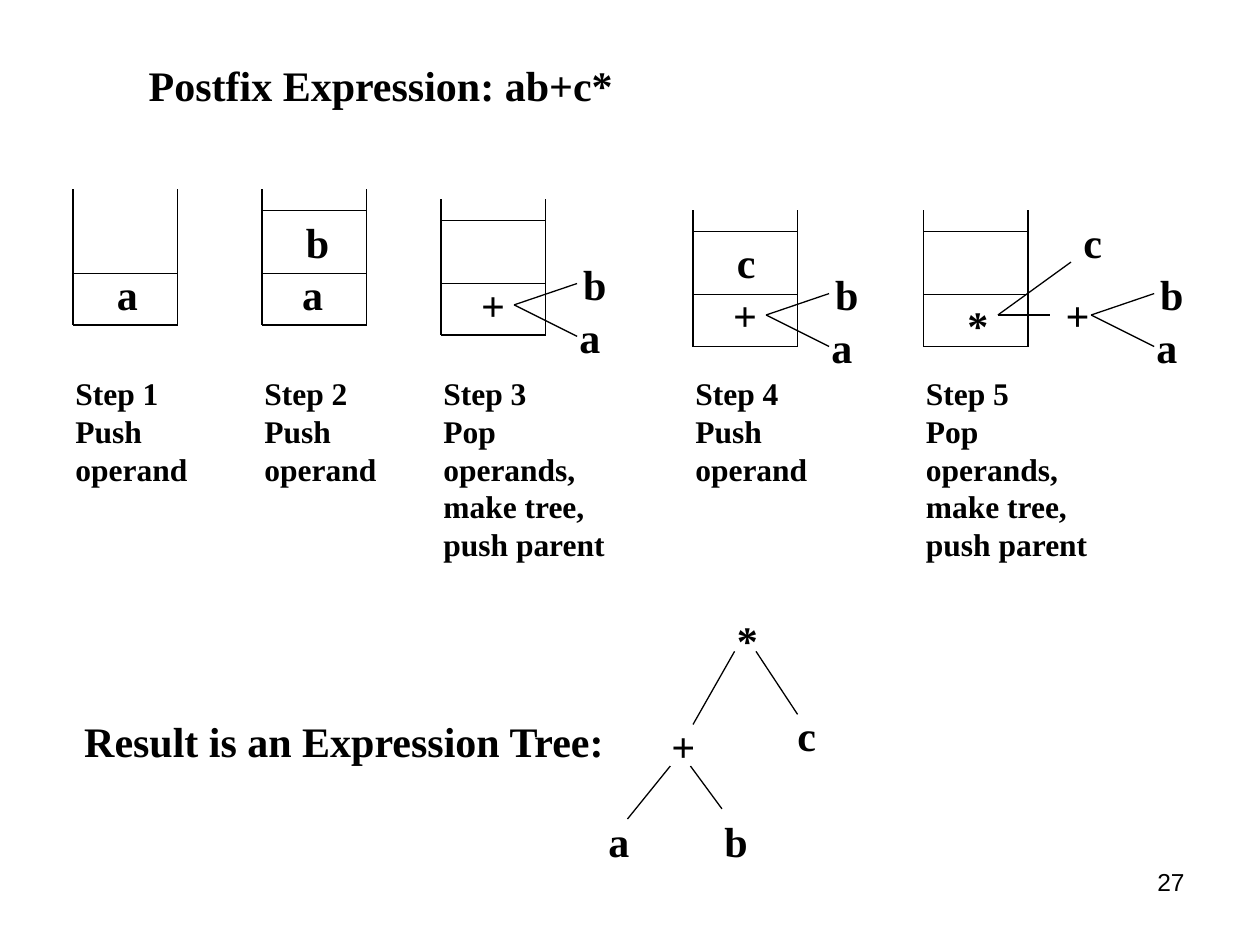
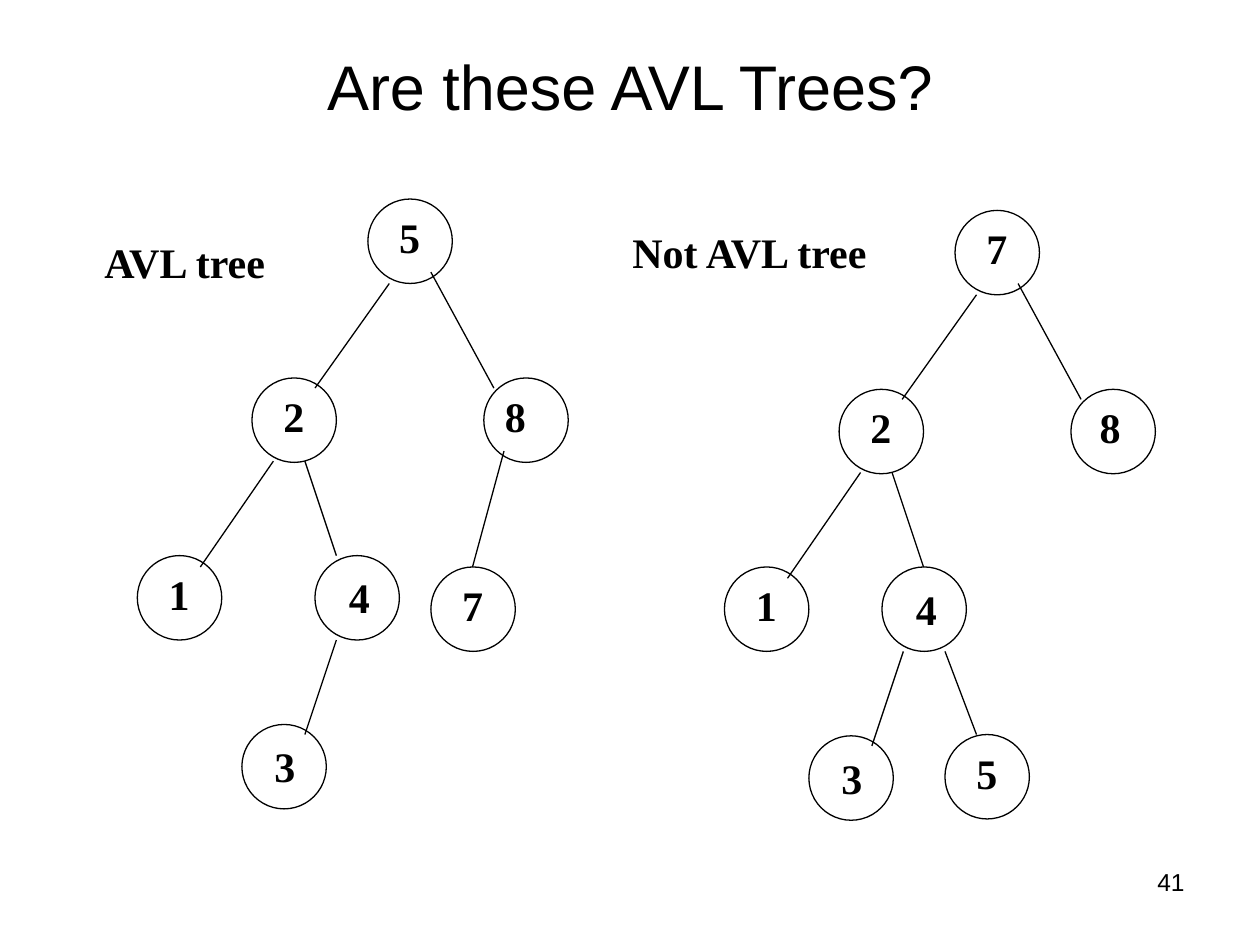
import pptx
import pptx.util
import pptx.dml.color
import pptx.enum.shapes
import pptx.enum.text
import pptx.oxml

Inches = pptx.util.Inches
Pt = pptx.util.Pt
Align = pptx.enum.text.PP_ALIGN
Anchor = pptx.enum.text.MSO_ANCHOR
Size = pptx.enum.text.MSO_AUTO_SIZE
BLACK = pptx.dml.color.RGBColor(0, 0, 0)
WHITE = pptx.dml.color.RGBColor(255, 255, 255)
SERIF = "Times New Roman"
SANS = "Arial"
WIDTHS = {"a": 0.37, "b": 0.39, "c": 0.35, "+": 0.39, "*": 0.37}
EMPTY = ('<a:effectLst xmlns:a='
         '"http://schemas.openxmlformats.org/drawingml/2006/main"/>')


class Deck:
    """Holds the shared style and the slide being drawn."""

    def __init__(self):
        """Open a 10 by 7.5 inch deck."""
        self.prs = pptx.Presentation()
        self.prs.slide_width = Inches(10)
        self.prs.slide_height = Inches(7.5)

    def start(self, number):
        """Add a title-only slide with its page number."""
        self.slide = self.prs.slides.add_slide(self.prs.slide_layouts[5])
        fill = self.slide.background.fill
        fill.solid()
        fill.fore_color.rgb = WHITE
        self.text(7.17, 6.83, 2.33, 0.52, number, 14, SANS, False,
                  Align.RIGHT, True)

    def style(self, frame, text, size, face, bold, align, wrap):
        """Fill a text frame and format its paragraphs."""
        frame.text = text
        frame.word_wrap = wrap
        for par in frame.paragraphs:
            par.alignment = align
            par.font.size = Pt(size)
            par.font.name = face
            par.font.bold = bold
            par.font.color.rgb = BLACK

    def title(self, x, y, w, h, text, size, face, bold=False,
              align=Align.CENTER, wrap=True):
        """Place and format the title placeholder."""
        box = self.slide.shapes.title
        box.left, box.top = Inches(x), Inches(y)
        box.width, box.height = Inches(w), Inches(h)
        self.style(box.text_frame, text, size, face, bold, align, wrap)
        box.text_frame.auto_size = Size.NONE
        box.text_frame.vertical_anchor = Anchor.MIDDLE

    def text(self, x, y, w, h, text, size=24, face=SERIF, bold=True,
             align=Align.LEFT, wrap=False):
        """Add a text box."""
        box = self.slide.shapes.add_textbox(
            Inches(x), Inches(y), Inches(w), Inches(h))
        self.style(box.text_frame, text, size, face, bold, align, wrap)
        if not wrap:
            box.text_frame.auto_size = Size.SHAPE_TO_FIT_TEXT

    def mark(self, x, y, sign):
        """Add a one-character label."""
        self.text(x, y, WIDTHS.get(sign, 0.37), 0.5, sign)

    def line(self, x1, y1, x2, y2):
        """Draw a thin straight line."""
        line = self.slide.shapes.add_connector(
            pptx.enum.shapes.MSO_CONNECTOR.STRAIGHT,
            Inches(x1), Inches(y1), Inches(x2), Inches(y2))
        line.line.color.rgb = BLACK
        line.line.width = Pt(0.75)
        line._element.spPr.append(pptx.oxml.parse_xml(EMPTY))

    def stack(self, x, y, lid=True):
        """Draw an open stack, with a second cell if it has a lid."""
        right, base = x + 0.83, y + 1.08
        for side in (x, right):
            self.line(side, y, side, base)
        for row in (base, y + 0.67) + ((y + 0.17,) if lid else ()):
            self.line(x, row, right, row)

    def fork(self, x, y):
        """Draw the branches to b and a from a tip."""
        self.line(x, y, x + 0.5, y - 0.17)
        self.line(x, y, x + 0.5, y + 0.25)
        self.mark(x + 0.45, y - 0.42, "b")
        self.mark(x + 0.42, y, "a")

    def node(self, x, y, sign, dx=0.15, dy=0.05):
        """Draw a ring with its number at an offset."""
        ring = self.slide.shapes.add_shape(
            pptx.enum.shapes.MSO_SHAPE.OVAL,
            Inches(x), Inches(y), Inches(0.67), Inches(0.67))
        ring.shadow.inherit = False
        ring.fill.background()
        ring.line.color.rgb = BLACK
        ring.line.width = Pt(0.75)
        self.mark(x + dx, y + dy, sign)

    def tree(self, x, y, root, low, shift):
        """Draw the part both trees share; low is the left of node 4."""
        self.node(x, y, root)
        self.node(x - 0.92, y + 1.42, "2")
        self.node(x + 0.92, y + 1.42, "8", shift)
        self.node(x - 1.83, y + 2.83, "1")
        self.node(low, y + 2.83, "4", 0.17, 0.08)
        self.node(low - 0.58, y + 4.17, "3", 0.16, 0.08)
        for x1, y1, x2, y2 in ((0.5, 0.58, 1, 1.5),
                               (0.17, 0.67, -0.42, 1.5),
                               (-0.75, 2.08, -1.33, 2.92),
                               (-0.5, 2.08, -0.25, 2.83)):
            self.line(x + x1, y + y1, x + x2, y + y2)
        self.line(low + 0.17, y + 3.5, low - 0.08, y + 4.25)


def postfix(deck):
    """Build the slide on stacks and the expression tree."""
    deck.start("27")
    deck.title(1.08, 0.42, 3.89, 0.5, "Postfix Expression: ab+c*", 24,
               SERIF, True, Align.LEFT, False)
    push = "Push\noperand"
    pop = "Pop\noperands,\nmake tree,\npush parent"
    steps = ((0.58, 1.5, push), (2.08, 1.5, push), (3.5, 1.58, pop),
             (5.5, 1.67, push), (7.33, 1.67, pop))
    for count, (x, y, act) in enumerate(steps, 1):
        deck.stack(x, y, count > 1)
        w, h = (1.49, 1.6) if act == pop else (1.09, 1)
        deck.text(x - 0.08, 2.92, w, h, f"Step {count}\n{act}", 18)
    for x, y in ((4.08, 2.42), (6.08, 2.5), (8.66, 2.5)):
        deck.fork(x, y)
    marks = ((0.83, 2.08, "a"), (2.33, 1.67, "b"), (2.3, 2.08, "a"),
             (3.72, 2.17, "+"), (5.72, 2.25, "+"), (5.75, 1.83, "c"),
             (8.36, 2.25, "+"), (8.5, 1.67, "c"), (7.58, 2.33, "*"),
             (5.23, 5.67, "+"), (5.65, 6.42, "b"), (4.73, 6.42, "a"),
             (6.23, 5.58, "c"), (5.75, 4.83, "*"))
    for item in marks:
        deck.mark(*item)
    lines = ((7.92, 2.5, 8.33, 2.5), (7.92, 2.5, 8.5, 2.08),
             (4.98, 6.5, 5.32, 6.08), (5.48, 6.08, 5.73, 6.42),
             (6.33, 5.67, 6, 5.17), (5.5, 5.75, 5.83, 5.17))
    for item in lines:
        deck.line(*item)
    deck.text(0.57, 5.63, 4.37, 0.5, "Result is an Expression Tree:")


def balance(deck):
    """Build the slide that compares two search trees."""
    deck.start("41")
    deck.title(0.5, 0.3, 9, 0.75, "Are these AVL Trees?", 36, SANS)
    deck.tree(2.92, 1.58, "5", 2.5, 0.07)
    deck.node(3.42, 4.5, "7")
    deck.line(4, 3.58, 3.75, 4.5)
    deck.text(0.73, 1.83, 1.54, 0.5, "AVL tree")
    deck.tree(7.58, 1.67, "7", 7, 0.13)
    deck.node(7.5, 5.83, "5")
    deck.line(7.5, 5.17, 7.75, 5.83)
    deck.text(4.92, 1.75, 2.35, 0.5, "Not AVL tree", wrap=True)


deck = Deck()
postfix(deck)
balance(deck)
deck.prs.save("out.pptx")
